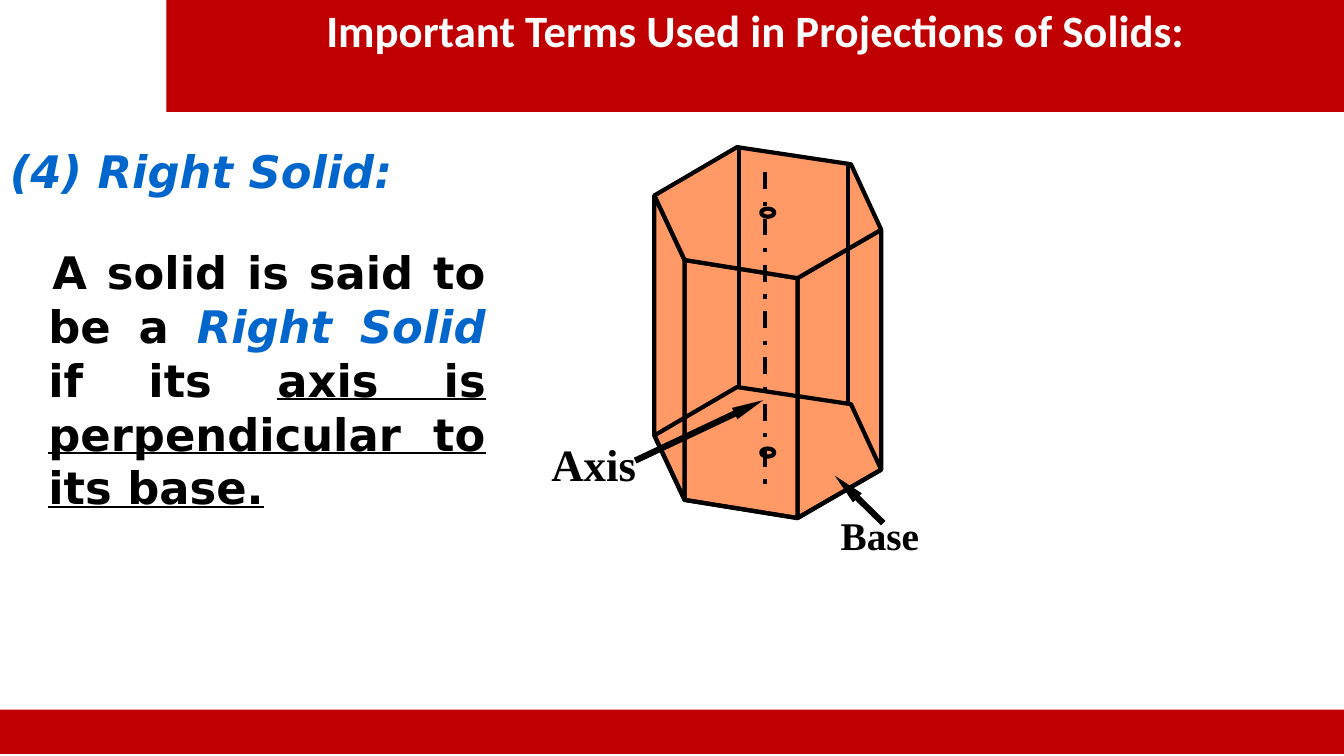
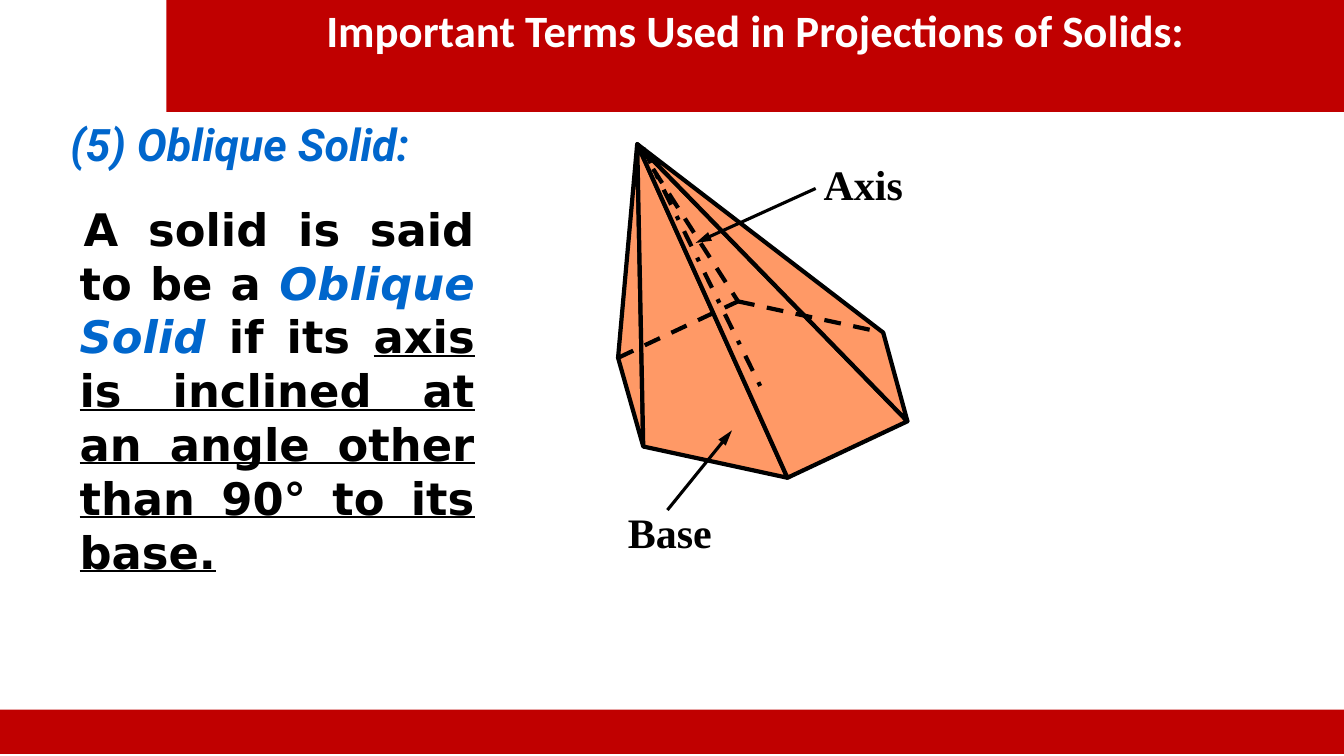
from lxml.etree import SubElement
from pptx import Presentation
from pptx.dml.color import RGBColor
from pptx.enum.dml import MSO_LINE
from pptx.enum.shapes import MSO_CONNECTOR, MSO_SHAPE
from pptx.enum.text import MSO_ANCHOR, MSO_AUTO_SIZE, PP_ALIGN
from pptx.oxml.ns import qn
from pptx.util import Inches, Pt

RED = RGBColor(0xC0, 0x00, 0x00)
BLUE = RGBColor(0x00, 0x66, 0xCC)
ORANGE = RGBColor(0xFF, 0x99, 0x66)
BLACK = RGBColor(0x00, 0x00, 0x00)
WHITE = RGBColor(0xFF, 0xFF, 0xFF)

TITLE = "Important Terms Used in Projections of Solids:"
PLAIN = {"color": BLACK}
TERM = {"color": BLUE, "italic": True}
KEY = {"color": BLACK, "underline": True}


class Deck:
    """Holds the shared style and the slide being built."""

    def __init__(self):
        self.prs = Presentation()
        self.prs.slide_width = Inches(13.33)
        self.prs.slide_height = Inches(7.5)
        self.s = None

    def add_slide(self):
        self.s = self.prs.slides.add_slide(self.prs.slide_layouts[1])
        title = self.s.shapes.title
        self.place(title, 1.65, -0.02, 11.69, 1.13)
        title.fill.solid()
        title.fill.fore_color.rgb = RED
        self.fill_text(title, [(TITLE, {"color": WHITE})], "Calibri", 32, PP_ALIGN.CENTER)
        footer = self.s.shapes.add_shape(
            MSO_SHAPE.RECTANGLE, 0, Inches(7.04), self.prs.slide_width, Inches(0.44))
        self.paint(footer, RED)
        footer.line.fill.background()

    def place(self, sp, *box):
        for name, value in zip(("left", "top", "width", "height"), box):
            setattr(sp, name, Inches(value))

    def paint(self, sp, fill=None):
        sp.shadow.inherit = False
        if fill is None:
            sp.fill.background()
        else:
            sp.fill.solid()
            sp.fill.fore_color.rgb = fill

    def stroke(self, sp, width=3, dash=None):
        sp.line.color.rgb = BLACK
        sp.line.width = Pt(width)
        if dash is not None:
            sp.line.dash_style = dash

    def fill_text(self, sp, runs, font, size, align=PP_ALIGN.LEFT):
        tf = sp.text_frame
        frame = {"word_wrap": True, "auto_size": MSO_AUTO_SIZE.NONE,
                 "vertical_anchor": MSO_ANCHOR.TOP}
        for name, value in frame.items():
            setattr(tf, name, value)
        p = tf.paragraphs[0]
        p.alignment = align
        p.space_before = Pt(0)
        for text, look in runs:
            r = p.add_run()
            r.text = text
            style = {"name": font, "size": Pt(size), "bold": True, **look}
            r.font.color.rgb = style.pop("color")
            for name, value in style.items():
                setattr(r.font, name, value)
        return p

    def text(self, box, text, font, size, look=PLAIN):
        sp = self.s.shapes.add_textbox(*map(Inches, box))
        self.fill_text(sp, [(text, look)], font, size)

    def definition(self, box, runs):
        sp = self.s.placeholders[1]
        self.place(sp, *box)
        p = self.fill_text(sp, runs, "DejaVu Sans", 32, PP_ALIGN.JUSTIFY)
        pPr = p._p.get_or_add_pPr()
        pPr.set("marL", str(Inches(0.38)))
        pPr.set("indent", str(Inches(0.04)))
        SubElement(pPr, qn("a:buNone"))

    def polygon(self, points, fill=None):
        start, *rest = [(Inches(x), Inches(y)) for x, y in points]
        builder = self.s.shapes.build_freeform(*start)
        builder.add_line_segments(rest, close=True)
        sp = builder.convert_to_shape()
        self.paint(sp, fill)
        self.stroke(sp)

    def ring(self, x, y):
        sp = self.s.shapes.add_shape(
            MSO_SHAPE.OVAL, Inches(x), Inches(y), Inches(0.13), Inches(0.08))
        self.paint(sp)
        self.stroke(sp)

    def line(self, start, end, width=3, dash=None, head=None):
        cn = self.s.shapes.add_connector(
            MSO_CONNECTOR.STRAIGHT, *map(Inches, (*start, *end)))
        self.stroke(cn, width, dash)
        if head:
            SubElement(cn.line._get_or_add_ln(), qn("a:tailEnd"),
                       type="triangle", w=head, len="lg")
        SubElement(cn._element.spPr, qn("a:effectLst"))


def right_solid(deck):
    """Builds the slide with the upright hexagonal prism."""
    deck.add_slide()
    deck.text((0, 1.38, 4.08, 0.63), "(4) Right Solid:", "DejaVu Sans", 32, TERM)
    deck.definition((0, 2.38, 4.92, 2.77), [
        ("A solid is said to be a ", PLAIN), ("Right Solid", TERM),
        (" if its ", PLAIN), ("axis is perpendicular to its base.", KEY)])

    height = 2.38
    top = [(8.74, 2.28), (7.91, 2.76), (6.79, 2.58),
           (6.49, 1.94), (7.31, 1.46), (8.44, 1.63)]
    base = [(x, y + height) for x, y in top]
    for i in range(3):
        deck.polygon([top[i], top[i + 1], base[i + 1], base[i]], ORANGE)
    deck.polygon(top, ORANGE)
    deck.polygon(base)
    for x, y in ((7.33, 1.48), (8.41, 1.63)):
        deck.line((x, y), (x, y + height))
    for y in (2.07, 2.07 + height):
        deck.ring(7.55, y)
    deck.line((7.59, 1.71), (7.59, 4.8), dash=MSO_LINE.DASH_DOT)

    deck.text((5.37, 4.28, 1.17, 0.63), "Axis", "Times New Roman", 32)
    deck.line((6.3, 4.57), (7.57, 3.97), 4.5, head="sm")
    deck.text((8.24, 5.02, 1.37, 0.57), "Base", "Times New Roman", 28)
    deck.line((8.76, 5.19), (8.28, 4.72), 4.5, head="sm")


def oblique_solid(deck):
    """Builds the slide with the leaning hexagonal pyramid."""
    deck.add_slide()
    deck.text((0.6, 1.11, 4.17, 0.63), "(5) Oblique Solid:", "Roboto", 32, TERM)
    deck.definition((0.31, 1.95, 4.5, 3.83), [
        ("A solid is said to be a ", PLAIN), ("Oblique Solid ", TERM),
        ("if its ", PLAIN),
        ("axis is inclined at an angle other than 90° to its base.", KEY)])

    apex, back = (6.32, 1.43), (7.32, 2.99)
    rim = [(6.13, 3.55), (6.38, 4.43), (7.81, 4.74), (9, 4.18), (8.76, 3.3)]
    for left, right in zip(rim, rim[1:]):
        deck.polygon([apex, left, right], ORANGE)
    for start, end in ((rim[0], back), (back, rim[-1]), (apex, back)):
        deck.line(start, end, dash=MSO_LINE.DASH)
    deck.line((6.38, 1.47), (7.56, 3.87), dash=MSO_LINE.DASH_DOT)

    deck.text((8.07, 1.52, 1.08, 0.6), "Axis", "Times New Roman", 30)
    deck.line((8.09, 1.87), (6.9, 2.41), 2.25, head="med")
    deck.text((6.13, 4.98, 1.08, 0.6), "Base", "Times New Roman", 30)
    deck.line((6.62, 5.06), (7.26, 4.27), 2.25, head="med")


def main():
    """Builds both slides and saves the file."""
    deck = Deck()
    right_solid(deck)
    oblique_solid(deck)
    deck.prs.save("out.pptx")


if __name__ == "__main__":
    main()
